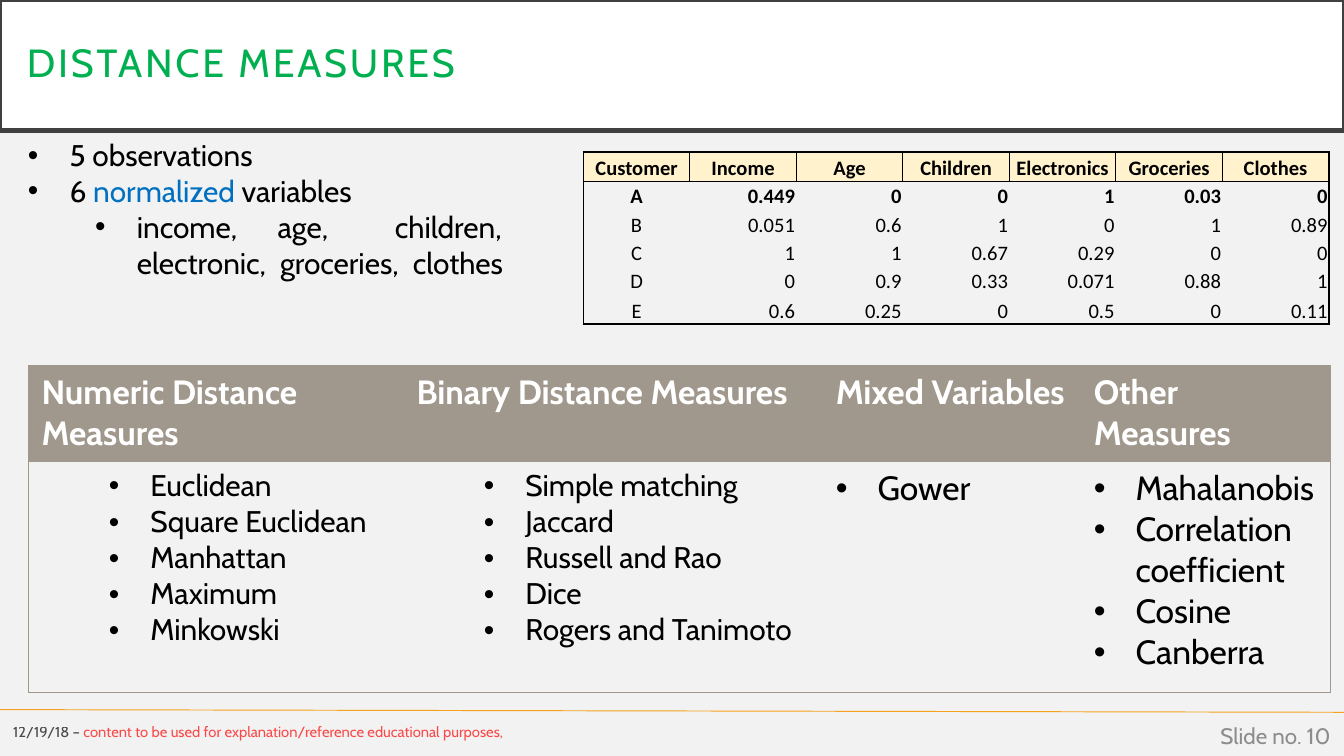
from lxml import etree
from pptx import Presentation
from pptx.dml.color import RGBColor
from pptx.enum.shapes import MSO_CONNECTOR, MSO_SHAPE
from pptx.enum.text import MSO_ANCHOR, PP_ALIGN
from pptx.oxml.ns import qn
from pptx.util import Inches, Pt

LEFT, CENTER, RIGHT = PP_ALIGN.LEFT, PP_ALIGN.CENTER, PP_ALIGN.RIGHT
TOP, MIDDLE, BOTTOM = MSO_ANCHOR.TOP, MSO_ANCHOR.MIDDLE, MSO_ANCHOR.BOTTOM
BLACK = RGBColor(0x00, 0x00, 0x00)
WHITE = RGBColor(0xFF, 0xFF, 0xFF)
PAPER = RGBColor(0xF2, 0xF2, 0xF2)
FRAME = RGBColor(0x40, 0x40, 0x40)
GREEN = RGBColor(0x00, 0xB0, 0x50)
BLUE = RGBColor(0x00, 0x70, 0xC0)
RED = RGBColor(0xFF, 0x00, 0x00)
ORANGE = RGBColor(0xF6, 0xA2, 0x1D)
GRAY = RGBColor(0x8C, 0x8C, 0x8C)
TAUPE = RGBColor(0xA0, 0x98, 0x8C)
CREAM = RGBColor(0xFF, 0xF2, 0xCC)
PLAIN_TABLE = "{2D5ABB26-0587-4C30-8999-92F81FD0307C}"
BULLET_HANG = 0.31
BULLET_LEFT = [0.31, 0.81]  # by level

TITLE = "DISTANCE MEASURES"
SLIDE_NUMBER = "Slide no. 10"
FOOTER = [("12/19/18 – ", BLACK),
          ("content to be used for explanation/reference educational purposes,", RED)]
# Each bullet: level, then runs of text, colour and letter spacing in points
DATA_NOTES = [
    (0, [("5 observations", BLACK, 0)]),
    (0, [("6 ", BLACK, 0), ("normalized", BLUE, 0), (" variables", BLACK, 0)]),
    (1, [("income,", BLACK, 0), (" ", BLACK, 18), ("age,", BLACK, 0),
         (" ", BLACK, 32), ("children, electronic,", BLACK, 0),
         (" ", BLACK, 3.8), ("groceries,", BLACK, 0),
         (" ", BLACK, 3.8), ("clothes", BLACK, 0)]),
]
CUSTOMERS = [
    ["Customer", "Income", "Age", "Children", "Electronics", "Groceries", "Clothes"],
    ["A", "0.449", "0", "0", "1", "0.03", "0"],
    ["B", "0.051", "0.6", "1", "0", "1", "0.89"],
    ["C", "1", "1", "0.67", "0.29", "0", "0"],
    ["D", "0", "0.9", "0.33", "0.071", "0.88", "1"],
    ["E", "0.6", "0.25", "0", "0.5", "0", "0.11"],
]
# Heading, column width, bullet level, size, items
MEASURES = [
    ("Numeric Distance Measures", 2.79, 1, 16,
     ["Euclidean", "Square Euclidean", "Manhattan", "Maximum", "Minkowski"]),
    ("Binary Distance Measures", 3.12, 1, 16,
     ["Simple matching", "Jaccard", "Russell and Rao", "Dice", "Rogers and Tanimoto"]),
    ("Mixed Variables", 1.92, 0, 18, ["Gower"]),
    ("Other Measures", 1.86, 0, 18,
     ["Mahalanobis", "Correlation coefficient", "Cosine", "Canberra"]),
]


def add_run(p, text, size, color, spacing=0, alpha=None, **font):
    r = p.add_run()
    r.text = text
    for key, value in {"size": Pt(size), "name": "Cabin", **font}.items():
        setattr(r.font, key, value)
    r.font.color.rgb = color
    if spacing:
        r.font._element.set("spc", str(round(spacing * 100)))
    if alpha:
        clr = r.font._element.find(".//" + qn("a:srgbClr"))
        etree.SubElement(clr, qn("a:alpha"), val=str(alpha * 1000))


def next_paragraph(tf, i):
    return tf.paragraphs[0] if i == 0 else tf.add_paragraph()


def set_bullet(p, level):
    p.level = level
    pPr = p._p.get_or_add_pPr()
    pPr.set("marL", str(Inches(BULLET_LEFT[level])))
    pPr.set("indent", str(-Inches(BULLET_HANG)))
    etree.SubElement(pPr, qn("a:buFont"), typeface="Arial")
    etree.SubElement(pPr, qn("a:buChar"), char="•")


def add_text_box(s, box, anchor):
    tf = s.shapes.add_textbox(*map(Inches, box)).text_frame
    tf.word_wrap = True
    tf.vertical_anchor = anchor
    return tf


def add_plain_table(s, left, top, widths, heights):
    frame = s.shapes.add_table(len(heights), len(widths), Inches(left), Inches(top),
                               Inches(sum(widths)), Inches(sum(heights)))
    table = frame.table
    table.first_row = table.horz_banding = False
    table._tbl.tblPr.find(qn("a:tableStyleId")).text = PLAIN_TABLE
    for col, width in zip(table.columns, widths):
        col.width = Inches(width)
    for row, height in zip(table.rows, heights):
        row.height = Inches(height)
    return table


def set_borders(cell, color, widths):
    """Draw the sides named in widths (L, R, T, B), clear the others; call before filling."""
    tcPr = cell._tc.get_or_add_tcPr()
    for side in "LRTB":
        ln = etree.SubElement(tcPr, qn("a:ln" + side), w=str(Pt(widths.get(side, 0))))
        if side in widths:
            fill = etree.SubElement(ln, qn("a:solidFill"))
            etree.SubElement(fill, qn("a:srgbClr"), val=str(color))
        else:
            etree.SubElement(ln, qn("a:noFill"))


def set_fill(cell, color):
    if color is None:
        cell.fill.background()
    else:
        cell.fill.solid()
        cell.fill.fore_color.rgb = color


def add_customer_table(s):
    n_rows, n_cols = len(CUSTOMERS), len(CUSTOMERS[0])
    table = add_plain_table(s, 4.34, 1.13, [5.55 / n_cols] * n_cols,
                            [0.22] + [0.21] * (n_rows - 2) + [0.22])
    for i, row in enumerate(CUSTOMERS):
        for j, text in enumerate(row):
            cell = table.cell(i, j)
            header = i == 0
            sides = {"L": 0.5, "R": 0.5, "T": 1, "B": 1} if header else {}
            outer = {"L": j == 0, "R": j == n_cols - 1,
                     "T": i <= 1, "B": i == n_rows - 1}
            sides.update({side: 1 for side, on in outer.items() if on})
            set_borders(cell, BLACK, sides)
            set_fill(cell, CREAM if header else None)
            cell.margin_left = cell.margin_right = cell.margin_top = Inches(0.01)
            cell.margin_bottom = 0
            cell.vertical_anchor = BOTTOM
            p = cell.text_frame.paragraphs[0]
            p.alignment = CENTER if header or j == 0 else RIGHT
            add_run(p, text, 11, BLACK, name="Calibri", bold=i <= 1)


def add_measure_table(s):
    table = add_plain_table(s, 0.21, 2.72, [m[1] for m in MEASURES], [0.71, 1.72])
    for j, (heading, _, level, size, items) in enumerate(MEASURES):
        head, body = table.cell(0, j), table.cell(1, j)
        outer = {"L": j == 0, "R": j == len(MEASURES) - 1}
        sides = {side: 0.5 for side, on in outer.items() if on}
        set_borders(head, TAUPE, {**sides, "T": 0.5, "B": 0.5})
        set_borders(body, TAUPE, {**sides, "T": 0.5, "B": 0.5})
        set_fill(head, TAUPE)
        set_fill(body, None)
        add_run(head.text_frame.paragraphs[0], heading, 18, WHITE, bold=True)
        for i, item in enumerate(items):
            p = next_paragraph(body.text_frame, i)
            set_bullet(p, level)
            add_run(p, item, size, BLACK)


def main():
    prs = Presentation()
    prs.slide_width = Inches(10)
    prs.slide_height = prs.slide_width * 9 // 16
    s = prs.slides.add_slide(prs.slide_layouts[6])
    s.background.fill.solid()
    s.background.fill.fore_color.rgb = PAPER

    rule = s.shapes.add_connector(MSO_CONNECTOR.STRAIGHT, 0, Inches(5.28),
                                  Inches(10), Inches(5.3))
    rule.line.color.rgb, rule.line.width = ORANGE, Pt(0.5)
    etree.SubElement(rule._element.spPr, qn("a:effectLst"))

    sp = s.shapes.add_shape(MSO_SHAPE.RECTANGLE, 0, 0, Inches(10), Inches(0.97))
    sp.shadow.inherit = False
    sp.fill.solid()
    sp.fill.fore_color.rgb = WHITE
    sp.line.color.rgb, sp.line.width = FRAME, Pt(2.5)
    tf = sp.text_frame
    for side in ("left", "right", "top", "bottom"):
        setattr(tf, "margin_" + side, Inches(0.2))
    tf.vertical_anchor = MIDDLE
    p = tf.paragraphs[0]
    p.alignment, p.line_spacing = LEFT, 0.9
    add_run(p, TITLE, 21, GREEN, spacing=1.5)

    p = add_text_box(s, (7.75, 5.32, 2.25, 0.3), MIDDLE).paragraphs[0]
    p.alignment = RIGHT
    add_run(p, SLIDE_NUMBER, 12, GRAY)

    p = add_text_box(s, (0, 5.31, 4.24, 0.27), MIDDLE).paragraphs[0]
    for text, color in FOOTER:
        add_run(p, text, 7.9, color, alpha=70)

    add_customer_table(s)
    tf = add_text_box(s, (0.11, 0.97, 3.98, 1.45), TOP)
    for i, (level, runs) in enumerate(DATA_NOTES):
        p = next_paragraph(tf, i)
        set_bullet(p, level)
        for text, color, spacing in runs:
            add_run(p, text, 16, color, spacing)
    add_measure_table(s)
    prs.save("out.pptx")


if __name__ == "__main__":
    main()
